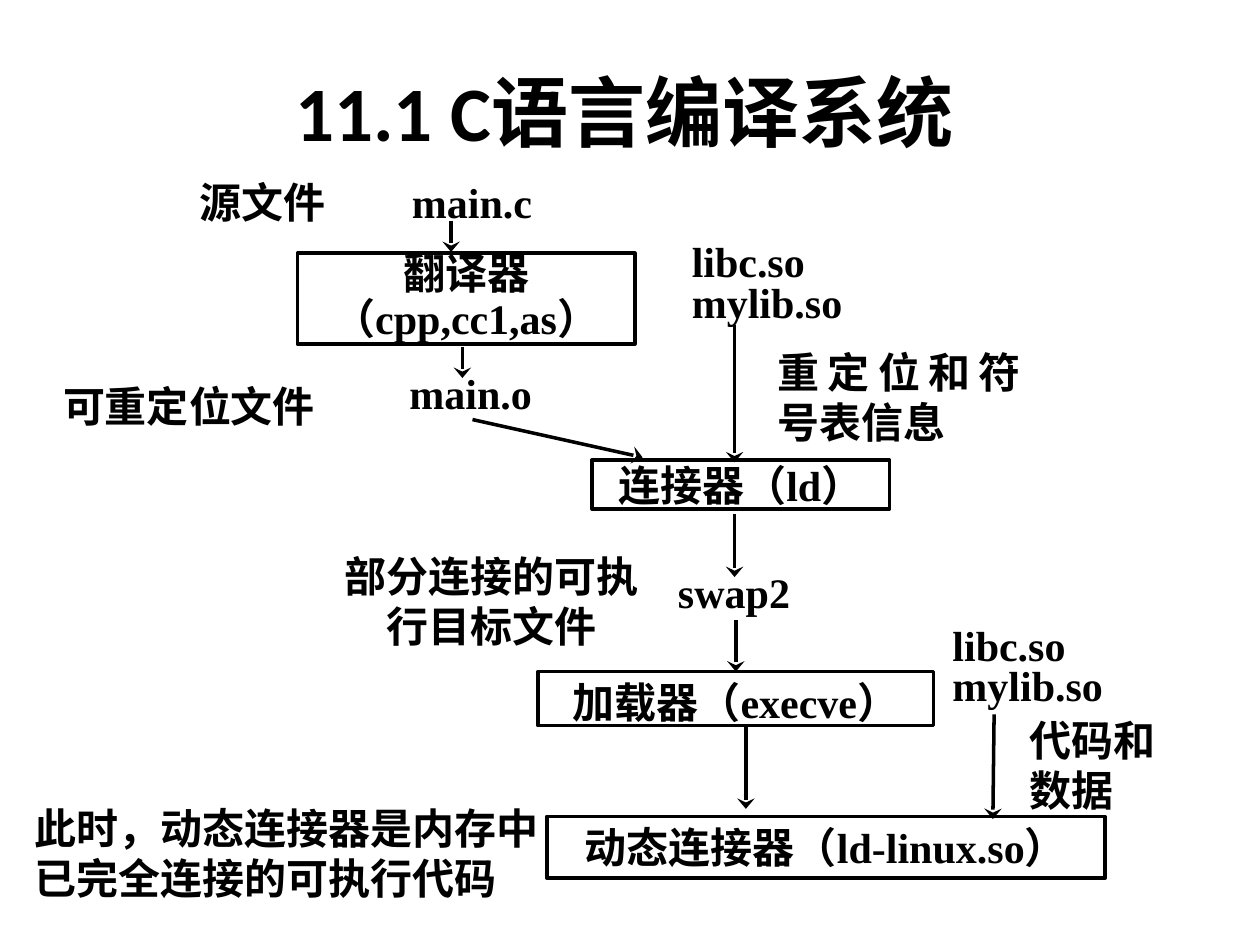
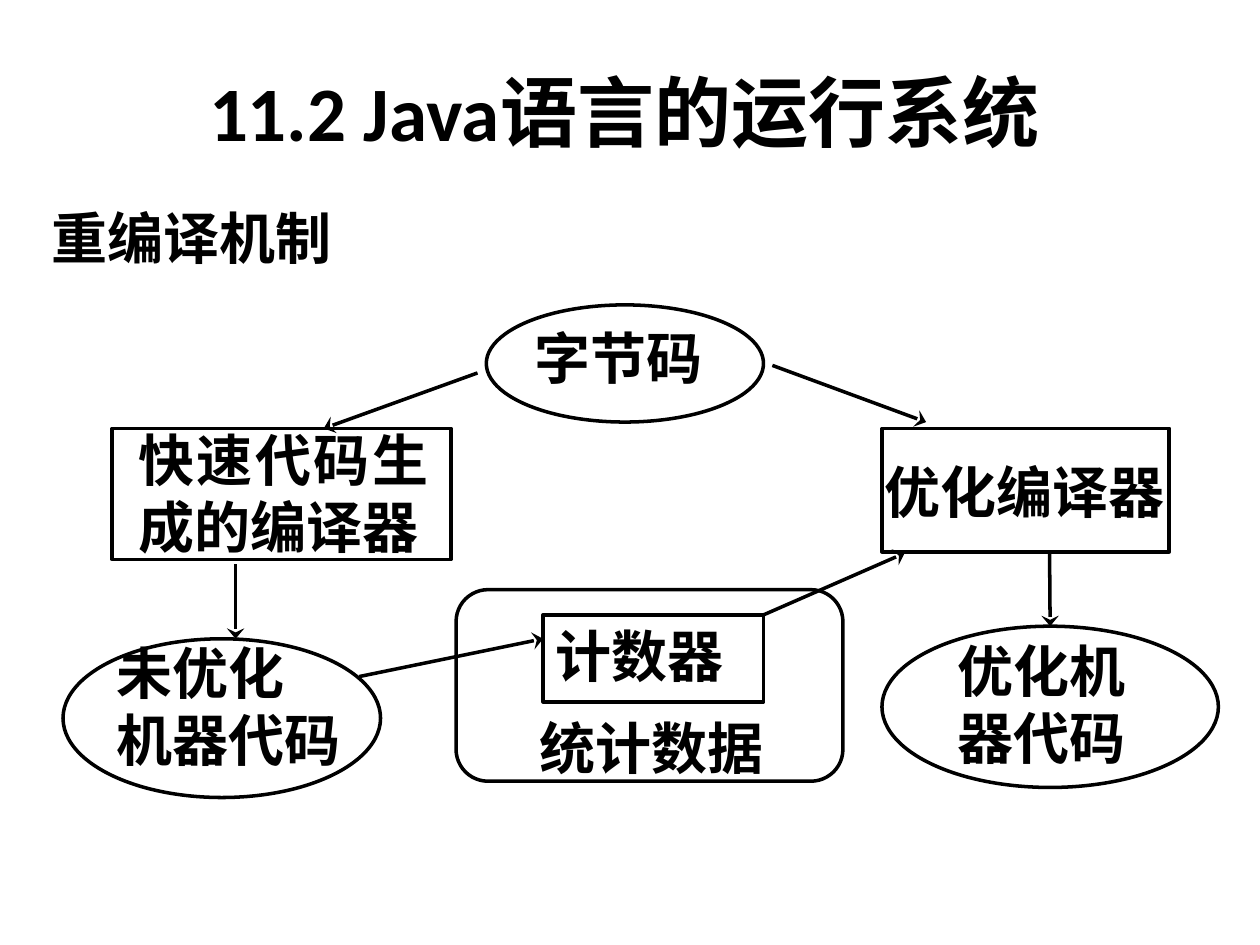
import pptx
import pptx.dml.color
import pptx.enum.shapes
import pptx.enum.text
import pptx.oxml.ns
import pptx.util
from lxml import etree

SCALE = 9144
COLORS = {"ink": "000000", "paper": "FFFFFF"}
HEADING_FONT = "Calibri"
LABEL_FONT = "Times New Roman"
TITLE_BOX = (33, 25, 925, 125)
ALIGNMENTS = {
    "left": pptx.enum.text.PP_ALIGN.LEFT,
    "center": pptx.enum.text.PP_ALIGN.CENTER,
    "justify": pptx.enum.text.PP_ALIGN.JUSTIFY,
}
SHAPES = {
    "rectangle": pptx.enum.shapes.MSO_SHAPE.RECTANGLE,
    "ellipse": pptx.enum.shapes.MSO_SHAPE.OVAL,
    "rounded": pptx.enum.shapes.MSO_SHAPE.ROUNDED_RECTANGLE,
}

SLIDES = [
    {
        "title": "11.1 C语言编译系统",
        "size": 24,
        "margins": (0, 0),
        "shapes": [
            ("translator", "rectangle", (236, 201, 268, 72),
             "翻译器\n（cpp,cc1,as）", {"spacing": 0.9}),
            ("linker", "rectangle", (470, 365, 236, 39), "连接器（ld）", {}),
            ("loader", "rectangle", (427, 533, 314, 43),
             "加载器（execve）", {"margins": (0, 4)}),
            ("dynamic linker", "rectangle", (434, 648, 443, 49),
             "动态连接器（ld-linux.so）", {"margins": (0, 4)}),
        ],
        "labels": [
            ("源文件", (158, 140, 145, 30), {}),
            ("main.c", (327, 140, 140, 27), {}),
            ("可重定位文件", (50, 302, 271, 36), {}),
            ("main.o", (325, 292, 134, 30), {}),
            ("libc.so\nmylib.so", (549, 195, 131, 70), {"spacing": 0.8}),
            ("重定位和符号表信息", (617, 275, 193, 61), {}),
            ("部分连接的可执行目标文件", (264, 437, 252, 63), {"align": "center"}),
            ("swap2", (508, 450, 149, 40), {"align": "center"}),
            ("libc.so\nmylib.so", (756, 499, 143, 72), {"spacing": 0.8}),
            ("代码和\n数据", (817, 567, 118, 63), {}),
            ("此时，动态连接器是内存中已完全连接的可执行代码",
             (27, 637, 402, 70), {"align": "left"}),
        ],
        "arrows": [
            ((358, 175), (358, 200), None),
            ((367, 275), (367, 300), None),
            ((375, 333), (510, 363), None),
            ((583, 258), (583, 367), None),
            ((583, 408), (583, 458), None),
            ((584, 492), (584, 533), "loader"),
            ((592, 576), (592, 642), None),
            ((789, 567), (788, 650), None),
        ],
    },
    {
        "title": "11.2 Java语言的运行系统",
        "size": 32,
        "margins": (10, 5),
        "shapes": [
            ("bytecode", "ellipse", (386, 242, 220, 93), "", {}),
            ("plain code", "ellipse", (50, 507, 252, 126), "", {}),
            ("optimized code", "ellipse", (700, 497, 267, 128), "", {}),
            ("fast compiler", "rectangle", (89, 340, 269, 104), "", {}),
            ("optimizing compiler", "rectangle", (700, 340, 228, 98), "", {}),
            ("statistics", "rounded", (362, 468, 307, 152), "", {}),
            ("counter", "rectangle", (431, 488, 175, 69), "", {}),
        ],
        "labels": [
            ("重编译机制", (31, 157, 937, 64), {"font": HEADING_FONT}),
            ("字节码", (414, 252, 164, 74), {}),
            ("未优化\n机器代码", (83, 502, 212, 113), {}),
            ("优化机\n器代码", (750, 500, 183, 118), {}),
            ("快速代码生成的编译器", (100, 333, 250, 113), {}),
            ("优化编译器", (692, 358, 250, 64), {"align": "left"}),
            ("计数器", (431, 488, 164, 69), {}),
            ("统计数据", (418, 561, 216, 79), {}),
        ],
        "arrows": [
            ((379, 296), (257, 340), None),
            ((613, 290), (735, 335), None),
            ((187, 448), (187, 507), None),
            ((833, 439), (833, 497), "optimized code"),
            ((285, 537), (431, 507), None),
            ((606, 488), (718, 439), None),
        ],
    },
]


def px(value):
    return pptx.util.Emu(value * SCALE)


def color(name):
    return pptx.dml.color.RGBColor.from_string(COLORS[name])


def write_text(shape, text, size, font=LABEL_FONT, align="justify",
               spacing=1.0, margins=(0, 0), anchor="TOP"):
    frame = shape.text_frame
    frame.word_wrap = True
    frame.auto_size = pptx.enum.text.MSO_AUTO_SIZE.NONE
    frame.vertical_anchor = getattr(pptx.enum.text.MSO_ANCHOR, anchor)
    side, top = margins
    frame.margin_left = frame.margin_right = px(side)
    frame.margin_top = px(top)
    frame.margin_bottom = px(0)
    for index, line in enumerate(text.split("\n")):
        paragraph = frame.add_paragraph() if index else frame.paragraphs[0]
        paragraph.alignment = ALIGNMENTS[align]
        paragraph.line_spacing = spacing
        run = paragraph.add_run()
        run.text = line
        run.font.name = font
        run.font.size = pptx.util.Pt(size)
        run.font.bold = True
        run.font.color.rgb = color("ink")
        east_asian = etree.Element(pptx.oxml.ns.qn("a:ea"), typeface=HEADING_FONT)
        latin = run.font._element.find(pptx.oxml.ns.qn("a:latin"))
        latin.addnext(east_asian)


def style_line(line):
    line.color.rgb = color("ink")
    line.width = pptx.util.Pt(2)


def add_outline(slide, kind, box):
    shape = slide.shapes.add_shape(SHAPES[kind], *map(px, box))
    shape.shadow.inherit = False
    shape.fill.background()
    style_line(shape.line)
    return shape


def add_arrow(slide, start, end, target):
    arrow = slide.shapes.add_connector(
        pptx.enum.shapes.MSO_CONNECTOR.STRAIGHT, *map(px, start + end))
    if target is not None:
        arrow.end_connect(target, 0)
    style_line(arrow.line)
    properties = arrow._element.spPr
    etree.SubElement(properties.find(pptx.oxml.ns.qn("a:ln")),
                     pptx.oxml.ns.qn("a:tailEnd"), type="stealth", w="lg", len="med")
    etree.SubElement(properties, pptx.oxml.ns.qn("a:effectLst"))


def add_slide(presentation, content):
    slide = presentation.slides.add_slide(presentation.slide_layouts[5])
    slide.background.fill.solid()
    slide.background.fill.fore_color.rgb = color("paper")
    title = slide.shapes.title
    title.left, title.top, title.width, title.height = map(px, TITLE_BOX)
    write_text(title, content["title"], 44, font=HEADING_FONT, align="center",
               anchor="MIDDLE")
    outlines = {}
    for name, kind, box, text, options in content["shapes"]:
        outlines[name] = add_outline(slide, kind, box)
        if text:
            write_text(outlines[name], text, content["size"], align="center", **options)
    for text, box, options in content["labels"]:
        label = slide.shapes.add_textbox(*map(px, box))
        write_text(label, text, content["size"], margins=content["margins"], **options)
    for start, end, target in content["arrows"]:
        add_arrow(slide, start, end, outlines.get(target))


def main():
    presentation = pptx.Presentation()
    presentation.slide_width, presentation.slide_height = px(1000), px(750)
    for content in SLIDES:
        add_slide(presentation, content)
    presentation.save("out.pptx")


if __name__ == "__main__":
    main()
